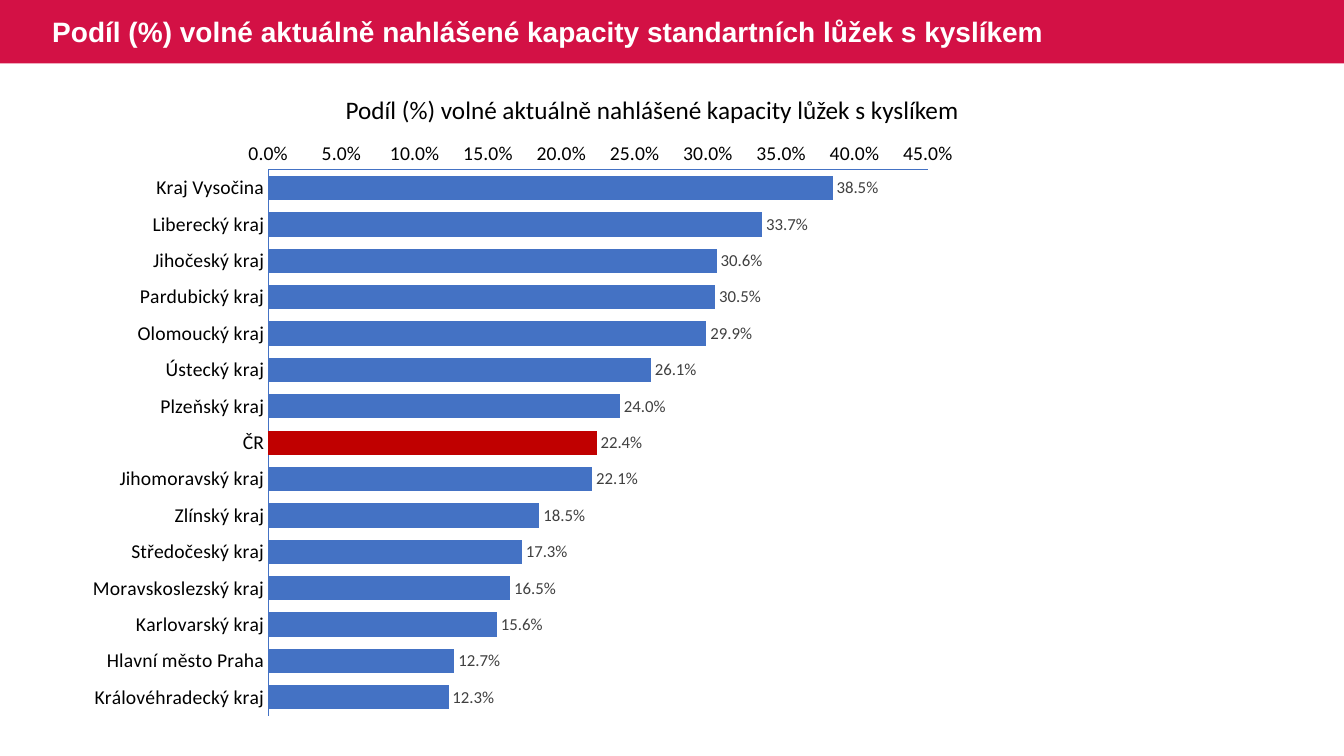
from dataclasses import dataclass

from lxml import etree
from pptx import Presentation
from pptx import util as u
from pptx.chart.data import CategoryChartData
from pptx.dml.color import RGBColor
from pptx.enum import chart as charts, shapes, text
from pptx.oxml.ns import qn

CRIMSON = RGBColor(0xD3, 0x11, 0x45)
WHITE = RGBColor(0xFF, 0xFF, 0xFF)
BLACK = RGBColor(0, 0, 0)
BLUE = RGBColor(0x44, 0x72, 0xC4)
RED = RGBColor(0xC0, 0, 0)
GRAY = RGBColor(0x40, 0x40, 0x40)

COUNTRY = "ČR"
FREE_SHARE = {
    "Kraj Vysočina": 0.385,
    "Liberecký kraj": 0.337,
    "Jihočeský kraj": 0.306,
    "Pardubický kraj": 0.305,
    "Olomoucký kraj": 0.299,
    "Ústecký kraj": 0.261,
    "Plzeňský kraj": 0.24,
    COUNTRY: 0.224,
    "Jihomoravský kraj": 0.221,
    "Zlínský kraj": 0.185,
    "Středočeský kraj": 0.173,
    "Moravskoslezský kraj": 0.165,
    "Karlovarský kraj": 0.156,
    "Hlavní město Praha": 0.127,
    "Královéhradecký kraj": 0.123,
}
# Plot area as fractions of the chart frame
PLOT_AREA = {"x": 0.216, "y": 0.065, "w": 0.736, "h": 0.913}


@dataclass
class Heading:
    words: str
    left: float
    top: float
    width: float
    height: float
    font_name: str
    size: int
    color: RGBColor
    bold: bool
    wrap: bool


HEADINGS = [
    Heading("Podíl (%) volné aktuálně nahlášené kapacity standartních lůžek s kyslíkem",
            0.42, 0, 11.56, 0.63, "Arial", 20, WHITE, True, True),
    Heading("Podíl (%) volné aktuálně nahlášené kapacity lůžek s kyslíkem",
            3.33, 0.89, 6.35, 0.4, "Calibri", 18, BLACK, False, False),
]


def style_font(font, size: int, color: RGBColor, name: str = "Calibri", bold: bool = False) -> None:
    font.name = name
    font.size = u.Pt(size)
    font.bold = bold
    font.color.rgb = color


def add_banner(slide, width: int) -> None:
    banner = slide.shapes.add_shape(shapes.MSO_SHAPE.RECTANGLE, 0, 0, width, u.Inches(0.63))
    banner.shadow.inherit = False
    banner.fill.solid()
    banner.fill.fore_color.rgb = CRIMSON
    banner.line.fill.background()


def add_heading(slide, heading: Heading) -> None:
    box = slide.shapes.add_textbox(u.Inches(heading.left), u.Inches(heading.top),
                                   u.Inches(heading.width), u.Inches(heading.height))
    frame = box.text_frame
    frame.word_wrap = heading.wrap
    frame.vertical_anchor = text.MSO_ANCHOR.MIDDLE
    run = frame.paragraphs[0].add_run()
    run.text = heading.words
    style_font(run.font, heading.size, heading.color, heading.font_name, heading.bold)


def style_axis(axis) -> None:
    axis.has_major_gridlines = False
    axis.major_tick_mark = charts.XL_TICK_MARK.NONE
    axis.minor_tick_mark = charts.XL_TICK_MARK.NONE
    axis.format.line.color.rgb = BLUE
    axis.format.line.width = u.Pt(0.75)
    style_font(axis.tick_labels.font, 14, BLACK)


def place_plot_area(chart) -> None:
    plot_area = chart.plots[0]._element.getparent()
    for old_layout in plot_area.findall(qn("c:layout")):
        plot_area.remove(old_layout)
    layout = etree.Element(qn("c:layout"))
    manual = etree.SubElement(layout, qn("c:manualLayout"))
    settings = {"layoutTarget": "inner", "xMode": "edge", "yMode": "edge", **PLOT_AREA}
    for tag, value in settings.items():
        etree.SubElement(manual, qn(f"c:{tag}")).set("val", str(value))
    plot_area.insert(0, layout)


def add_share_chart(slide) -> None:
    data = CategoryChartData(number_format="0.0%")
    data.categories = list(FREE_SHARE)
    data.add_series("Series 1", list(FREE_SHARE.values()))
    chart = slide.shapes.add_chart(charts.XL_CHART_TYPE.BAR_CLUSTERED, u.Inches(0.74), u.Inches(1.3),
                                   u.Inches(8.89), u.Inches(5.93), data).chart
    chart.has_title = False
    chart.has_legend = False
    style_font(chart.font, 10, BLACK)
    place_plot_area(chart)

    # Axes
    style_axis(chart.category_axis)
    chart.category_axis.reverse_order = True
    style_axis(chart.value_axis)
    chart.value_axis.minimum_scale = 0
    chart.value_axis.maximum_scale = 0.45
    chart.value_axis.major_unit = 0.05
    chart.value_axis.tick_labels.number_format = "0.0%"
    chart.value_axis.tick_labels.number_format_is_linked = False

    # Bars, with the national value highlighted
    plot = chart.plots[0]
    plot.gap_width = 50
    plot.vary_by_categories = False
    series = plot.series[0]
    series.format.fill.solid()
    series.format.fill.fore_color.rgb = BLUE
    country_fill = series.points[list(FREE_SHARE).index(COUNTRY)].format.fill
    country_fill.solid()
    country_fill.fore_color.rgb = RED

    # Value labels
    labels = series.data_labels
    labels.show_value = True
    labels.position = charts.XL_LABEL_POSITION.OUTSIDE_END
    labels.number_format = "0.0%"
    labels.number_format_is_linked = False
    style_font(labels.font, 12, GRAY)


def main() -> None:
    presentation = Presentation()
    presentation.slide_width = u.Inches(13.33)
    presentation.slide_height = u.Inches(7.5)
    slide = presentation.slides.add_slide(presentation.slide_layouts[6])
    add_banner(slide, presentation.slide_width)
    add_share_chart(slide)
    for heading in HEADINGS:
        add_heading(slide, heading)
    presentation.save("out.pptx")


if __name__ == "__main__":
    main()
